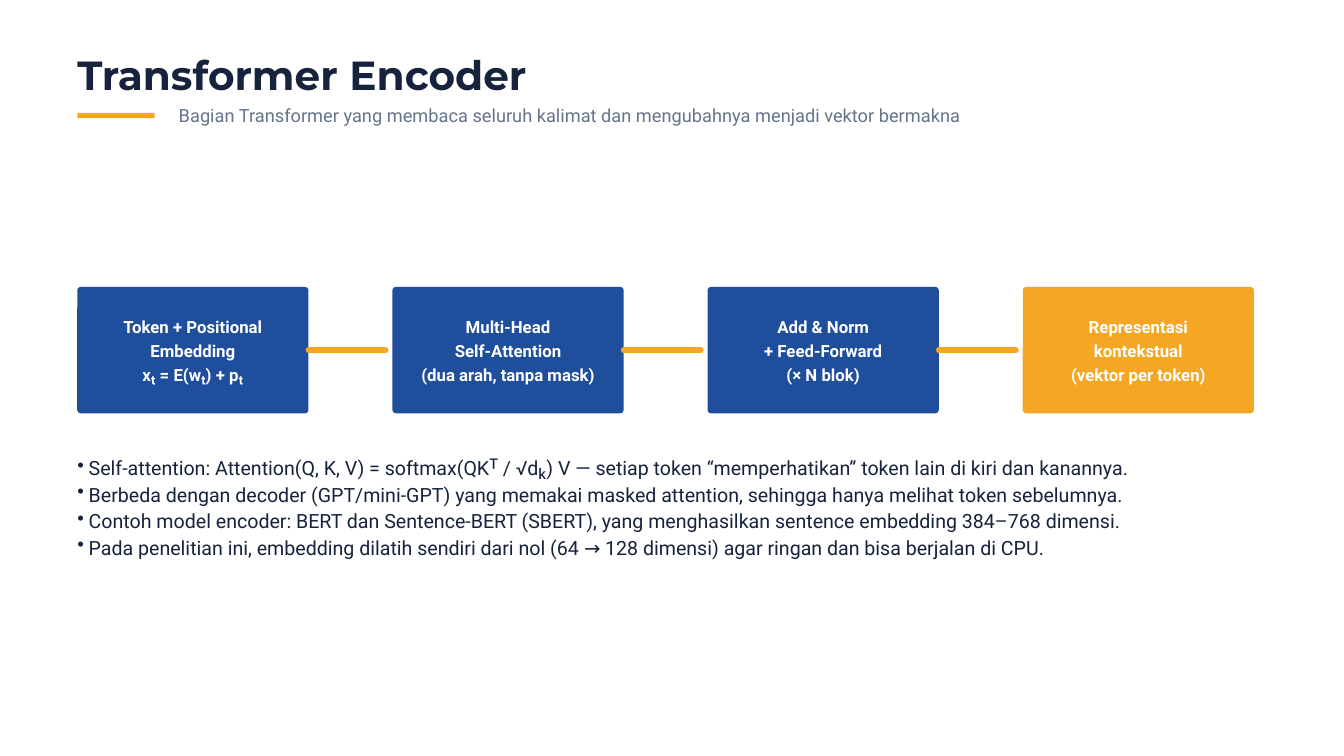
from lxml import etree
from pptx import Presentation
from pptx.dml.color import RGBColor
from pptx.enum.shapes import MSO_CONNECTOR, MSO_SHAPE
from pptx.enum.text import MSO_ANCHOR, PP_ALIGN
from pptx.oxml.ns import qn
from pptx.util import Inches, Pt

RECTANGLE, ROUNDED = MSO_SHAPE.RECTANGLE, MSO_SHAPE.ROUNDED_RECTANGLE
STRAIGHT = MSO_CONNECTOR.STRAIGHT
TOP, MIDDLE = MSO_ANCHOR.TOP, MSO_ANCHOR.MIDDLE
LEFT, CENTER = PP_ALIGN.LEFT, PP_ALIGN.CENTER
RIGHT_SIDE = 3

NAVY, BLUE, ORANGE, GREY, WHITE = "17233D", "1F4E9C", "F5A623", "65748B", "FFFFFF"

TITLE = "Transformer Encoder"
SUBTITLE = "Bagian Transformer yang membaca seluruh kalimat dan mengubahnya menjadi vektor bermakna"
STAGES = [
    (BLUE, ["Token + Positional", "Embedding", "xₜ = E(wₜ) + pₜ"]),
    (BLUE, ["Multi-Head", "Self-Attention", "(dua arah, tanpa mask)"]),
    (BLUE, ["Add & Norm", "+ Feed-Forward", "(× N blok)"]),
    (ORANGE, ["Representasi", "kontekstual", "(vektor per token)"]),
]
NOTES = [
    "Self-attention: Attention(Q, K, V) = softmax(QKᵀ / √dₖ) V — setiap token “memperhatikan” "
    "token lain di kiri dan kanannya.",
    "Berbeda dengan decoder (GPT/mini-GPT) yang memakai masked attention, sehingga hanya "
    "melihat token sebelumnya.",
    "Contoh model encoder: BERT dan Sentence-BERT (SBERT), yang menghasilkan sentence embedding "
    "384–768 dimensi.",
    "Pada penelitian ini, embedding dilatih sendiri dari nol (64 → 128 dimensi) agar ringan dan "
    "bisa berjalan di CPU.",
]

MARGIN = 1.15
STAGE_TOP, STAGE_WIDTH, STAGE_HEIGHT = 4.27, 3.44, 1.88
STAGE_STEP = 4.69
CORNER = 0.05
LINK_LENGTH = 1.15
BULLET_INDENT = 0.17


def color(value):
    return RGBColor.from_string(value)


def add_bullet(para):
    properties = para._p.get_or_add_pPr()
    properties.set("marL", str(Inches(BULLET_INDENT)))
    properties.set("indent", str(-Inches(BULLET_INDENT)))
    etree.SubElement(properties, qn("a:buChar")).set("char", "•")


def write(shape, lines, size, spacing, ink, font="Roboto", bold=False,
          align=LEFT, anchor=TOP, insets=(0, 0, 0, 0), bullets=False):
    frame = shape.text_frame
    frame.word_wrap = True
    frame.vertical_anchor = anchor
    (frame.margin_left, frame.margin_top,
     frame.margin_right, frame.margin_bottom) = map(Inches, insets)
    frame.text = "\n".join(lines)
    for para in frame.paragraphs:
        para.alignment = align
        para.line_spacing = Pt(spacing)
        if bullets:
            add_bullet(para)
        for span in para.runs:
            span.font.name = font
            span.font.size = Pt(size)
            span.font.bold = bold
            span.font.color.rgb = color(ink)


def add_text(page, left, top, width, height, lines, *style, **options):
    box = page.shapes.add_textbox(*map(Inches, (left, top, width, height)))
    write(box, lines, *style, **options)


def add_block(page, kind, left, top, width, height, fill):
    block = page.shapes.add_shape(kind, *map(Inches, (left, top, width, height)))
    block.shadow.inherit = False
    block.fill.solid()
    block.fill.fore_color.rgb = color(fill)
    block.line.fill.background()
    return block


def add_link(page, stage, left):
    """Draw a round-ended line from the right side of a stage towards the next."""
    middle = Inches(STAGE_TOP + STAGE_HEIGHT / 2)
    link = page.shapes.add_connector(
        STRAIGHT, Inches(left), middle, Inches(left + LINK_LENGTH), middle)
    link.begin_connect(stage, RIGHT_SIDE)
    link.line.color.rgb = color(ORANGE)
    link.line.width = Pt(6)
    link.line._ln.set("cap", "rnd")
    etree.SubElement(link._element.spPr, qn("a:effectLst"))


def main():
    deck = Presentation()
    deck.slide_width, deck.slide_height = Inches(20), Inches(11.25)
    page = deck.slides.add_slide(deck.slide_layouts[6])
    page.background.fill.solid()
    page.background.fill.fore_color.rgb = color(WHITE)

    add_text(page, MARGIN, 0.81, 15.62, 0.66, [TITLE], 43.5, 47, NAVY,
             font="Montserrat", bold=True)
    add_block(page, RECTANGLE, MARGIN, 1.68, 1.15, 0.08, ORANGE)
    add_text(page, 2.66, 1.5, 14.58, 0.38, [SUBTITLE], 19.5, 27.3, GREY)

    for index, (fill, lines) in enumerate(STAGES):
        left = MARGIN + index * STAGE_STEP
        stage = add_block(page, ROUNDED, left, STAGE_TOP, STAGE_WIDTH, STAGE_HEIGHT, fill)
        stage.adjustments[0] = CORNER / STAGE_HEIGHT
        write(stage, lines, 18, 25.2, WHITE, bold=True, align=CENTER, anchor=MIDDLE,
              insets=(0.06, 0.06, 0.06, 0.09))
        if index < len(STAGES) - 1:
            add_link(page, stage, left + STAGE_WIDTH)

    add_text(page, MARGIN, 6.74, 17.71, 1.53, NOTES, 21, 28.4, NAVY, bullets=True)
    deck.save("out.pptx")


if __name__ == "__main__":
    main()
